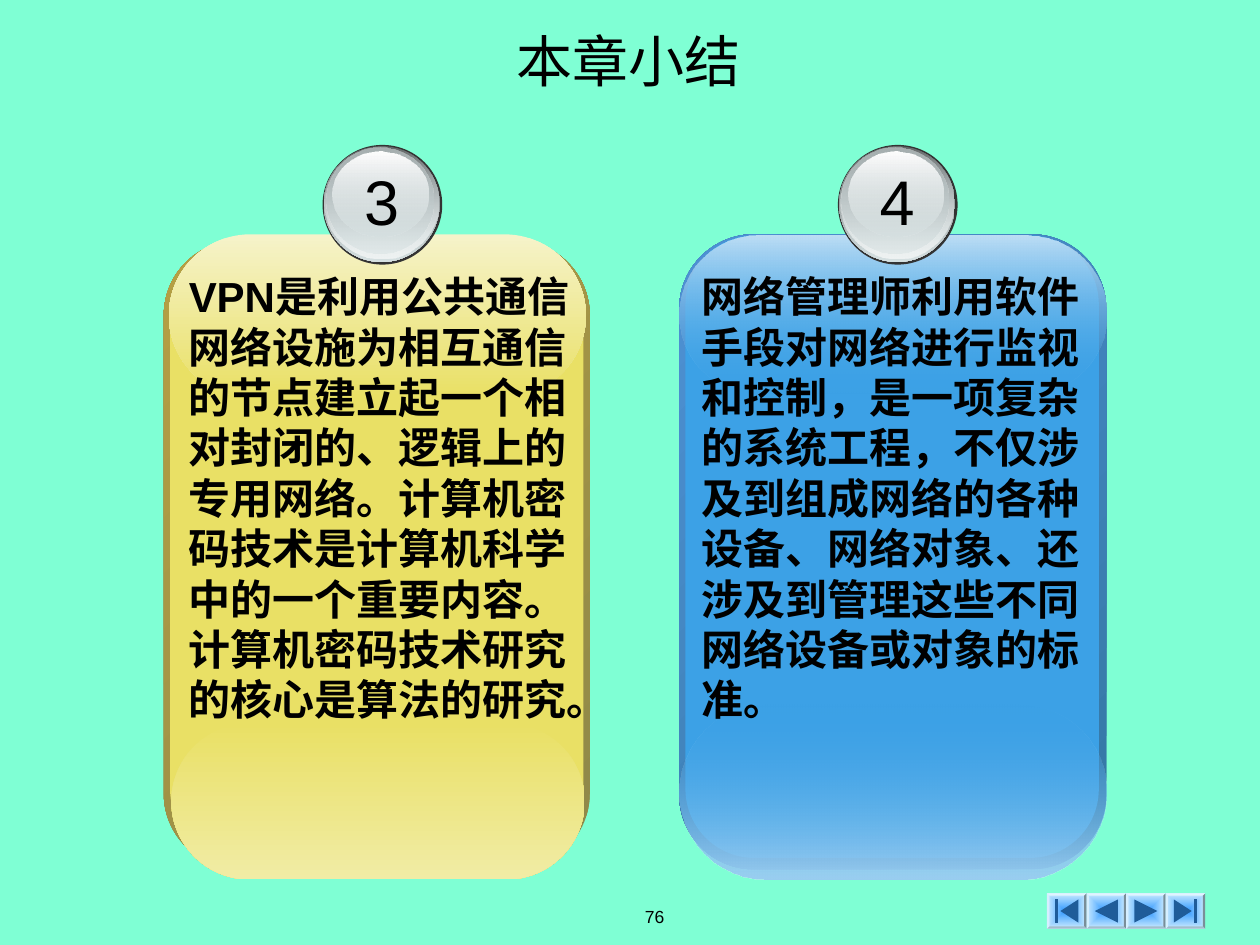
from lxml import etree
from pptx import Presentation
from pptx.dml import color
from pptx.enum import shapes, text
from pptx.oxml import ns
from pptx.util import Pt

COLORS = {
    "page": "7FFFD4", "ink": "000000", "rim": "333333",
    "face_center": "3399FF", "face_edge": "CCECFF",
    "bevel_top": "E0F4FF", "bevel_left": "D6EFFF",
    "bevel_right": "7A8E99", "bevel_bottom": "A3BDCC", "icon": "1F5C99",
    "steel_dark": "626768", "steel": "D6E1E2", "steel_pale": "EFF3F3",
    "steel_mid": "A8B1B2", "shine": "FEFEFE",
    "yellow": "E9E065", "yellow_dark": "8F8849", "yellow_edge": "B59F43",
    "yellow_pale": "F6F3CA", "yellow_foot": "F1ECA5",
    "blue": "3CA1E6", "blue_dark": "3477A4", "blue_edge": "4E91D4",
    "blue_pale": "BDDEF5", "blue_foot": "9ACDF1",
}
CJK = "Noto Sans CJK SC"
LATIN = "Arial"
ROUND = shapes.MSO_SHAPE.ROUNDED_RECTANGLE
OVAL = shapes.MSO_SHAPE.OVAL

BADGE_LAYERS = [
    ((0, 0, 68.4, 68.4), "rim"),
    ((0.7, 0.7, 66.2, 66.2), (("steel_dark", 100), ("steel", 100))),
    ((1.4, 0.7, 64.8, 64.1), (("steel", 0), ("steel_pale", 100))),
    ((2.2, 1.4, 61.2, 60.5), (("steel_mid", 100), ("steel", 48))),
    ((5.8, 3.6, 54.7, 49), (("shine", 100), ("steel", 38))),
]

CARDS = [
    {"box": (388.1, 82.8), "number": "4", "hue": "blue",
     "frame": (0, 51.1, 244.1, 362.9), "panel": (3.6, 51.8, 236.2, 355.7),
     "foot": (0, 319.7, 244.1, 100.1), "head": (0, 51.8, 244.1, 90),
     "body": (5.8, 68.4, 244.1, 266.4), "alpha": 0,
     "summary": "网络管理师利用软件手段对网络进行监视和控制，是一项复杂的系统工程，"
                "不仅涉及到组成网络的各种设备、网络对象、还涉及到管理这些不同网络设备或对象的标准。"},
    {"box": (93.6, 82.8), "number": "3", "hue": "yellow",
     "frame": (0, 54.7, 243.4, 358.6), "panel": (3.6, 55.4, 236.2, 352.1),
     "foot": (4.3, 330.5, 236.2, 89.3), "head": (2.9, 51.1, 238.3, 92.9),
     "body": (7.2, 68.4, 242.6, 295.2), "alpha": 100,
     "summary": "VPN是利用公共通信网络设施为相互通信的节点建立起一个相对封闭的、"
                "逻辑上的专用网络。计算机密码技术是计算机科学中的一个重要内容。"
                "计算机密码技术研究的核心是算法的研究。"},
]


def rgb(name):
    """Return the named colour."""
    return color.RGBColor.from_string(COLORS[name])


def paint(shape, fill, angle=90):
    """Give a shape a solid or gradient fill; an angle of None means from the centre."""
    shape.shadow.inherit = False
    shape.line.fill.background()
    shape.fill.solid()
    if isinstance(fill, str):
        shape.fill.fore_color.rgb = rgb(fill)
        return
    gradient = etree.Element(ns.qn("a:gradFill"), rotWithShape="1")
    stops = etree.SubElement(gradient, ns.qn("a:gsLst"))
    for position, (name, alpha) in zip((0, 100000), fill):
        stop = etree.SubElement(stops, ns.qn("a:gs"), pos=str(position))
        tint = etree.SubElement(stop, ns.qn("a:srgbClr"), val=COLORS[name])
        if alpha < 100:
            etree.SubElement(tint, ns.qn("a:alpha"), val=str(alpha * 1000))
    if angle is None:
        center = etree.SubElement(gradient, ns.qn("a:path"), path="rect")
        etree.SubElement(center, ns.qn("a:fillToRect"),
                         {side: "50000" for side in "ltrb"})
    else:
        etree.SubElement(gradient, ns.qn("a:lin"), ang=str(angle * 60000), scaled="0")
    solid = shape._element.spPr.find(ns.qn("a:solidFill"))
    solid.getparent().replace(solid, gradient)


def add_layer(parent, kind, origin, box, fill, angle=90, corner=None):
    """Add a filled preset shape at a box relative to the origin."""
    left, top, width, height = box
    layer = parent.add_shape(kind, Pt(origin[0] + left), Pt(origin[1] + top),
                             Pt(width), Pt(height))
    if corner is not None:
        layer.adjustments[0] = corner
    paint(layer, fill, angle)


def write(frame, words, size, latin=LATIN, bold=False, align=text.PP_ALIGN.CENTER):
    """Put one formatted paragraph into a text frame."""
    frame.text = words
    paragraph = frame.paragraphs[0]
    paragraph.alignment = align
    for run in paragraph.runs:
        run.font.size = Pt(size)
        run.font.bold = bold
        run.font.name = latin
        run.font.color.rgb = rgb("ink")
        etree.SubElement(run._r.get_or_add_rPr(), ns.qn("a:ea"), typeface=CJK)
    return paragraph


def add_text(parent, origin, box, words, size, wrap=True, **style):
    """Add a text box at a box relative to the origin and return its paragraph."""
    left, top, width, height = box
    label = parent.add_textbox(Pt(origin[0] + left), Pt(origin[1] + top),
                               Pt(width), Pt(height))
    label.text_frame.word_wrap = wrap
    return write(label.text_frame, words, size, **style)


def add_polygon(parent, points, fill, angle=90):
    """Add a closed filled outline."""
    start, *rest = [(Pt(x), Pt(y)) for x, y in points]
    builder = parent.build_freeform(*start, scale=1.0)
    builder.add_line_segments(rest, close=True)
    paint(builder.convert_to_shape(), fill, angle)


def add_title(slide, box, words):
    """Place and format the slide title."""
    title = slide.shapes.title
    title.left, title.top, title.width, title.height = map(Pt, box)
    title.text_frame.vertical_anchor = text.MSO_ANCHOR.MIDDLE
    write(title.text_frame, words, 32, latin=CJK)


def add_badge(parent, origin, number):
    """Draw a glossy numbered badge."""
    for box, fill in BADGE_LAYERS:
        add_layer(parent, OVAL, origin, box, fill)
    add_text(parent, origin, (0, 6.5, 67.7, 50.4), number, 36)


def add_card(slide, card):
    """Draw a summary card with its badge."""
    origin, hue, alpha = card["box"], card["hue"], card["alpha"]
    panel = slide.shapes.add_group_shape().shapes
    add_layer(panel, ROUND, origin, card["frame"],
              ((hue + "_dark", 100), (hue + "_edge", 100)), 225, 0.175)
    add_layer(panel, ROUND, origin, card["panel"], hue, corner=0.167)
    add_layer(panel, ROUND, origin, card["foot"],
              ((hue, alpha), (hue + "_foot", 100)), corner=0.5)
    add_layer(panel, ROUND, origin, card["head"],
              ((hue + "_pale", 100), (hue, alpha)), corner=0.5)
    summary = add_text(panel, origin, card["body"], card["summary"], 24,
                       bold=True, align=text.PP_ALIGN.LEFT)
    summary.line_spacing = Pt(28.8)
    badge = slide.shapes.add_group_shape().shapes
    add_badge(badge, (origin[0] + 90.7, origin[1]), card["number"])


def add_button(slide, box, direction, bar):
    """Draw a bevelled navigation button pointing left (-1) or right (1)."""
    left, top, width, height = box
    right, bottom, bevel = left + width, top + height, 1.3
    outer = [(left, top), (right, top), (right, bottom), (left, bottom)]
    inner = [(left + bevel, top + bevel), (right - bevel, top + bevel),
             (right - bevel, bottom - bevel), (left + bevel, bottom - bevel)]
    parts = slide.shapes.add_group_shape().shapes
    add_polygon(parts, outer, (("face_center", 100), ("face_edge", 100)), None)
    for i, side in enumerate(("top", "right", "bottom", "left")):
        j = (i + 1) % 4
        add_polygon(parts, [outer[i], outer[j], inner[j], inner[i]], "bevel_" + side)
    middle_x, middle_y, reach = left + width / 2, top + height / 2, 6.6
    tip, base = (3.6, -6.6) if bar else (reach, -reach)
    add_polygon(parts, [(middle_x + direction * tip, middle_y),
                        (middle_x + direction * base, middle_y - reach),
                        (middle_x + direction * base, middle_y + reach)], "icon")
    if bar:
        near, far = middle_x + direction * 5, middle_x + direction * reach
        add_polygon(parts, [(near, middle_y - reach), (far, middle_y - reach),
                            (far, middle_y + reach), (near, middle_y + reach)], "icon")


def add_footer(slide, box):
    """Place the page number and the row of navigation buttons."""
    left, top, width, height = box
    add_text(slide.shapes, (297.4, 514.1), (0, 0, 153.4, 25.9), "76", 10,
             wrap=False).line_spacing = 1.0
    buttons = [(-1, True), (-1, False), (1, False), (1, True)]
    step = width / len(buttons)
    for i, (direction, bar) in enumerate(buttons):
        add_button(slide, (left + i * step, top, step, height), direction, bar)


def main():
    """Build the chapter summary slide."""
    deck = Presentation()
    deck.slide_width, deck.slide_height = Pt(720), Pt(540)
    slide = deck.slides.add_slide(deck.slide_layouts[5])
    slide.background.fill.solid()
    slide.background.fill.fore_color.rgb = rgb("page")
    add_footer(slide, (598.3, 510.5, 90.4, 20.2))
    add_title(slide, (0, 12.2, 718.6, 44.6), "本章小结")
    for card in CARDS:
        add_card(slide, card)
    deck.save("out.pptx")


if __name__ == "__main__":
    main()
